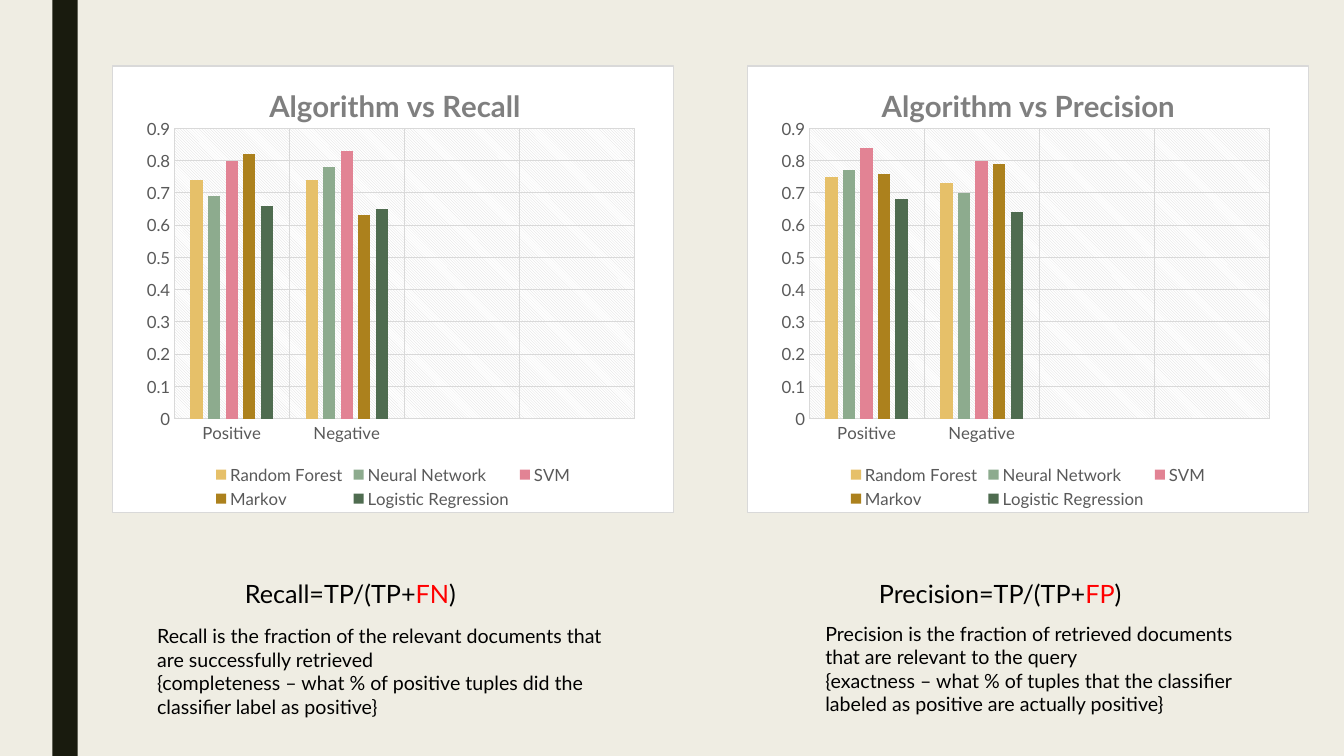
"""Builds a slide that compares the recall and precision of five algorithms."""
import pptx
import pptx.chart.data
import pptx.dml.color
import pptx.enum.chart
import pptx.enum.shapes
import pptx.enum.text
import pptx.oxml
import pptx.oxml.ns
import pptx.util
from pptx.dml.color import RGBColor
from pptx.util import Cm

CREAM = RGBColor(0xEF, 0xED, 0xE3)
DARK = RGBColor(0x19, 0x1B, 0x0E)
BLACK = RGBColor(0, 0, 0)
RED = RGBColor(0xFF, 0, 0)
GREY = RGBColor(0x59, 0x59, 0x59)
SILVER = RGBColor(0x7F, 0x7F, 0x7F)
PALE = RGBColor(0xD9, 0xD9, 0xD9)

MODELS = {
    "Random Forest": RGBColor(0xE6, 0xC0, 0x69),
    "Neural Network": RGBColor(0x8D, 0xAB, 0x8E),
    "SVM": RGBColor(0xE2, 0x83, 0x94),
    "Markov": RGBColor(0xAC, 0x81, 0x1D),
    "Logistic Regression": RGBColor(0x4F, 0x6C, 0x50),
}
LABELS = ["Positive", "Negative", "", ""]
RECALL = [(0.74, 0.74), (0.69, 0.78), (0.8, 0.83), (0.82, 0.63), (0.66, 0.65)]
PRECISION = [(0.75, 0.73), (0.77, 0.7), (0.84, 0.8), (0.76, 0.79), (0.68, 0.64)]

SPACE = ('xmlns:c="http://schemas.openxmlformats.org/drawingml/2006/chart" '
         'xmlns:a="http://schemas.openxmlformats.org/drawingml/2006/main"')
WHITE_BOX = (f'<c:spPr {SPACE}><a:solidFill><a:srgbClr val="FFFFFF"/></a:solidFill>'
             f'<a:ln w="9525"><a:solidFill><a:srgbClr val="{PALE}"/></a:solidFill></a:ln></c:spPr>')
HATCH = (f'<c:spPr {SPACE}><a:pattFill prst="ltDnDiag"><a:fgClr><a:srgbClr val="{PALE}"/></a:fgClr>'
         '<a:bgClr><a:srgbClr val="FFFFFF"/></a:bgClr></a:pattFill><a:ln><a:noFill/></a:ln></c:spPr>')


class Board:
    """Holds the slide and its style."""

    face = "Lato"

    def __init__(self, slide):
        self.slide = slide
        fill = slide.background.fill
        fill.solid()
        fill.fore_color.rgb = CREAM

    def font(self, font, size, color, bold=False):
        font.name = self.face
        font.size = pptx.util.Pt(size)
        font.color.rgb = color
        font.bold = bold

    def bar(self, left, top, width, height):
        shape = self.slide.shapes.add_shape(
            pptx.enum.shapes.MSO_SHAPE.RECTANGLE, Cm(left), Cm(top), Cm(width), Cm(height))
        shape.shadow.inherit = False
        shape.fill.solid()
        shape.fill.fore_color.rgb = DARK
        shape.line.fill.background()

    def text(self, left, top, width, height, size, paras):
        box = self.slide.shapes.add_textbox(Cm(left), Cm(top), Cm(width), Cm(height))
        frame = box.text_frame
        frame.word_wrap = True
        frame.auto_size = pptx.enum.text.MSO_AUTO_SIZE.SHAPE_TO_FIT_TEXT
        for i, parts in enumerate(paras):
            para = frame.add_paragraph() if i else frame.paragraphs[0]
            for words, color in parts:
                run = para.add_run()
                run.text = words
                self.font(run.font, size, color)

    def place(self, host, index, **spots):
        for old in host.findall(pptx.oxml.ns.qn("c:layout")):
            host.remove(old)
        modes = "".join(f'<c:{key}Mode val="edge"/>' for key in "xy")
        sizes = "".join(f'<c:{key} val="{val}"/>' for key, val in spots.items())
        inner = '<c:layoutTarget val="inner"/>' if "w" in spots else ""
        host.insert(index, pptx.oxml.parse_xml(
            f'<c:layout {SPACE}><c:manualLayout>{inner}{modes}{sizes}</c:manualLayout></c:layout>'))

    def line(self, line):
        line.color.rgb = PALE
        line.width = pptx.util.Pt(0.75)

    def axis(self, axis):
        axis.major_tick_mark = axis.minor_tick_mark = pptx.enum.chart.XL_TICK_MARK.NONE
        axis.has_major_gridlines = True
        self.line(axis.major_gridlines.format.line)
        self.font(axis.tick_labels.font, 12, GREY)

    def chart(self, left, top, width, height, title, start, table):
        data = pptx.chart.data.CategoryChartData()
        data.categories = LABELS
        for name, vals in zip(MODELS, table):
            data.add_series(name, (*vals, None, None))
        chart = self.slide.shapes.add_chart(
            pptx.enum.chart.XL_CHART_TYPE.COLUMN_CLUSTERED,
            Cm(left), Cm(top), Cm(width), Cm(height), data).chart
        self.font(chart.font, 10, BLACK)

        chart.has_title = True
        frame = chart.chart_title.text_frame
        frame.text = title
        self.font(frame.paragraphs[0].runs[0].font, 21, SILVER, True)

        chart.has_legend = True
        chart.legend.position = pptx.enum.chart.XL_LEGEND_POSITION.BOTTOM
        chart.legend.include_in_layout = False
        self.font(chart.legend.font, 12, GREY)

        self.axis(chart.category_axis)
        self.line(chart.category_axis.format.line)
        self.axis(chart.value_axis)
        chart.value_axis.format.line.fill.background()
        chart.value_axis.minimum_scale = 0
        chart.value_axis.maximum_scale = 0.9
        chart.value_axis.major_unit = 0.1

        plot = chart.plots[0]
        plot.gap_width = 267
        plot.overlap = -43
        plot.vary_by_categories = False
        for series, color in zip(plot.series, MODELS.values()):
            series.format.fill.solid()
            series.format.fill.fore_color.rgb = color

        root = chart.element.find(pptx.oxml.ns.qn("c:chart"))
        area = root.find(pptx.oxml.ns.qn("c:plotArea"))
        self.place(area, 0, x=0.11, y=0.14, w=0.82, h=0.65)
        self.place(root.find(pptx.oxml.ns.qn("c:title")), 1, x=start, y=0.03)
        area.append(pptx.oxml.parse_xml(HATCH))
        root.addnext(pptx.oxml.parse_xml(WHITE_BOX))


def main():
    deck = pptx.Presentation()
    deck.slide_width, deck.slide_height = Cm(33.87), Cm(19.05)
    board = Board(deck.slides.add_slide(deck.slide_layouts[6]))
    board.bar(1.32, 0, 0.64, 19.05)

    for left, name, miss in ((5.92, "Recall", "FN"), (21.9, "Precision", "FP")):
        board.text(left, 14.45, 8.84, 1.02, 18,
                   [[(f"{name}=TP/(TP+", BLACK), (miss, RED), (")", BLACK)]])

    board.text(20.55, 15.54, 11.61, 2.64, 14, [
        [("Precision is the fraction of retrieved documents that are relevant to the query", BLACK)],
        [("{exactness – what % of tuples that the classifier labeled as positive "
          "are actually positive}", BLACK)]])
    board.text(3.71, 15.6, 12.37, 2.64, 14, [
        [("Recall is the fraction of the relevant documents that are successfully retrieved", BLACK)],
        [("{completeness – what % of positive tuples did the classifier label as positive}", BLACK)]])

    for left, title, start, table in (
            (18.82, "Algorithm vs Precision", 0.23, PRECISION),
            (2.82, "Algorithm vs Recall", 0.27, RECALL)):
        board.chart(left, 1.65, 14.17, 11.28, title, start, table)
    deck.save("out.pptx")


if __name__ == "__main__":
    main()
